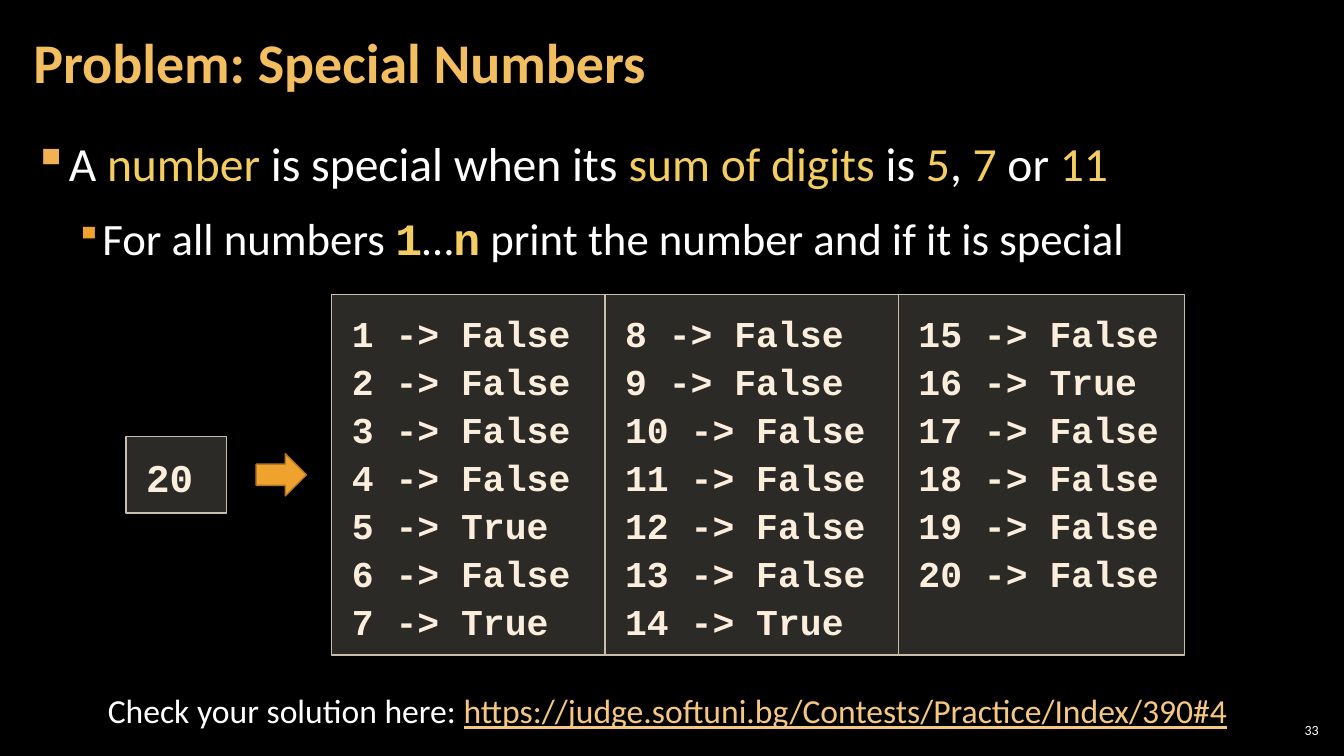
from dataclasses import dataclass

from lxml.etree import SubElement
from pptx import Presentation
from pptx.dml.color import RGBColor
from pptx.enum.shapes import MSO_SHAPE as Shape
from pptx.enum.text import MSO_ANCHOR as Anchor, MSO_AUTO_SIZE as Fit, PP_ALIGN as Align
from pptx.oxml.ns import qn
from pptx.util import Inches, Pt


@dataclass(frozen=True)
class Theme:
    back: str = "000000"
    white: str = "FFFFFF"
    title: str = "F3BE60"
    gold: str = "F3CD60"
    mark: str = "F2B254"
    arrow: str = "F0A22E"
    edge: str = "B27822"
    panel: str = "D9D5C7"
    border: str = "C7BFAC"
    code: str = "FBEEDC"
    link: str = "F6C781"
    sans: str = "Calibri"
    mono: str = "Courier New"
    head_size: int = 40
    body_size: int = 34
    sub_size: int = 32
    input_size: int = 28
    code_size: int = 26
    note_size: int = 24
    page_size: int = 10


THEME = Theme()
SPECIAL = (5, 7, 11)


def paint(color, value):
    color.rgb = RGBColor.from_string(value)


def style(run, size, color, face=THEME.sans, bold=False):
    font = run.font
    font.name, font.size, font.bold = face, Pt(size), bold
    paint(font.color, color)


def write(para, size, parts):
    """Add runs; each part is text, colour and an optional typeface."""
    for text, color, *face in parts:
        run = para.add_run()
        run.text = text
        style(run, size, color, *face, bold=bool(face))


def frame(shape, side=0.1, top=0.05, anchor=Anchor.TOP):
    body = shape.text_frame
    body.word_wrap, body.auto_size = True, Fit.NONE
    body.vertical_anchor = anchor
    body.margin_left = body.margin_right = Inches(side)
    body.margin_top = body.margin_bottom = Inches(top)
    return body


def place(shape, *box):
    shape.left, shape.top, shape.width, shape.height = map(Inches, box)


def add_box(slide, *box):
    return slide.shapes.add_textbox(*map(Inches, box))


def add_form(slide, kind, box, fill, line):
    form = slide.shapes.add_shape(kind, *map(Inches, box))
    form.shadow.inherit = False
    form.fill.solid()
    paint(form.fill.fore_color, fill)
    paint(form.line.color, line)
    form.line.width = Pt(1)
    return form


def add_panel(slide, box, lines, size):
    """Draw a translucent rectangle with lines of code."""
    panel = add_form(slide, Shape.RECTANGLE, box, THEME.panel, THEME.border)
    tint = panel.fill._xPr.find(qn("a:solidFill"))[0]
    SubElement(tint, qn("a:alpha"), val="20000")
    body = frame(panel, 0.2, 0.12)
    body.text = "\n".join(lines)
    for para in body.paragraphs:
        para.alignment, para.line_spacing = Align.LEFT, 1.1
        style(para.runs[0], size, THEME.code, THEME.mono, True)


def add_bullet(para, indent, hang, color, scale):
    props = para._p.get_or_add_pPr()
    props.set("marL", str(Inches(indent)))
    props.set("indent", str(-Inches(hang)))
    tint = SubElement(props, qn("a:buClr"))
    SubElement(tint, qn("a:srgbClr"), val=color)
    SubElement(props, qn("a:buSzPct"), val=str(scale * 1000))
    SubElement(props, qn("a:buChar"), char="▪")
    para.line_spacing = 1.05
    para.space_after = Pt(6)


def add_title(slide, text):
    title = slide.shapes.title
    place(title, 0.21, 0.04, 10.47, 1.21)
    body = frame(title, 0.12, 0.04, Anchor.MIDDLE)
    body.text = text
    para = body.paragraphs[0]
    para.alignment, para.line_spacing = Align.LEFT, 0.9
    style(para.runs[0], THEME.head_size, THEME.title, bold=True)


def add_body(slide):
    body = frame(add_box(slide, 0.21, 1.26, 12.91, 1.6), 0.12, 0.04)
    white, gold = THEME.white, THEME.gold
    rule = body.paragraphs[0]
    add_bullet(rule, 0.33, 0.33, THEME.mark, 100)
    write(rule, THEME.body_size, [
        ("A ", white), ("number ", gold), ("is special when its ", white),
        ("sum of digits ", gold), ("is ", white), ("5", gold), (", ", white),
        ("7", gold), (" or ", white), ("11", gold)])
    task = body.add_paragraph()
    task.level = 1
    add_bullet(task, 0.67, 0.25, THEME.arrow, 80)
    task.space_before = Pt(6)
    write(task, THEME.sub_size, [
        ("For all numbers ", white), ("1", gold, THEME.mono), ("…", white),
        ("n", gold, THEME.mono),
        (" print the number and if it is special", white)])


def verdict(num):
    return f"{num} -> {sum(map(int, str(num))) in SPECIAL}"


def add_sample(slide, count, rows=7):
    # Input and arrow
    add_panel(slide, (1.25, 4.33, 1, 0.76), [str(count)], THEME.input_size)
    add_form(slide, Shape.RIGHT_ARROW, (2.54, 4.5, 0.5, 0.42),
             THEME.arrow, THEME.edge)
    # Output columns, side by side
    left = 3.29
    for col, width in enumerate((2.71, 2.91, 2.84)):
        first = col * rows + 1
        nums = range(first, min(first + rows, count + 1))
        add_panel(slide, (left, 2.92, width, 3.58), map(verdict, nums),
                  THEME.code_size)
        left += width


def add_footer(slide):
    # Line with the address
    para = frame(add_box(slide, 0.83, 6.8, 11.58, 0.5)).paragraphs[0]
    para.alignment = Align.CENTER
    write(para, THEME.note_size, [
        ("Check your solution here: ", THEME.white),
        ("https://judge.softuni.bg/Contests/Practice/Index/390#4", THEME.link)])
    para.runs[-1].font.underline = True
    # Page number
    page = frame(add_box(slide, 12.65, 7.14, 0.47, 0.21), 0.04, 0.04,
                 Anchor.MIDDLE).paragraphs[0]
    page.alignment = Align.RIGHT
    write(page, THEME.page_size, [("33", THEME.white)])


def main():
    deck = Presentation()
    deck.slide_width, deck.slide_height = Inches(13.33), Inches(7.5)
    slide = deck.slides.add_slide(deck.slide_layouts[5])
    slide.background.fill.solid()
    paint(slide.background.fill.fore_color, THEME.back)
    add_title(slide, "Problem: Special Numbers")
    add_body(slide)
    add_sample(slide, 20)
    add_footer(slide)
    deck.save("out.pptx")


if __name__ == "__main__":
    main()
